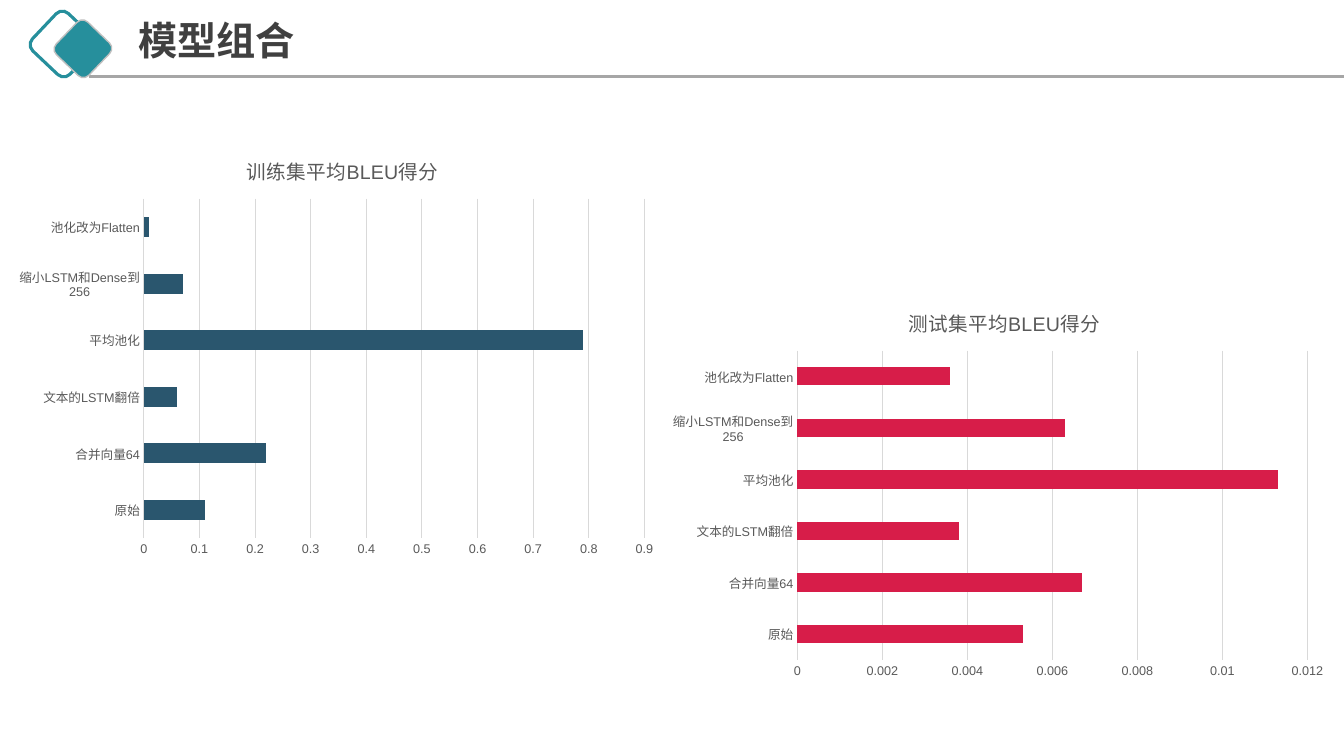
from lxml.etree import SubElement
from pptx import Presentation
from pptx.chart.data import CategoryChartData
from pptx.dml.color import RGBColor
from pptx.enum.chart import XL_CHART_TYPE, XL_TICK_MARK
from pptx.enum.shapes import MSO_CONNECTOR, MSO_SHAPE
from pptx.enum.text import MSO_ANCHOR, MSO_AUTO_SIZE, PP_ALIGN
from pptx.oxml.ns import qn
from pptx.util import Cm, Pt

TEAL, NAVY, RED = "268F9C", "2A566E", "D71D49"
DARK, GREY, LIGHT, RULE, SILVER = "404040", "595959", "D9D9D9", "A6A6A6", "BFBFBF"
HEADING_FONT, CHART_FONT = "Noto Sans CJK SC", "Arial"
WIDTH, HEIGHT = 33.87, 19.05

MODELS = ["原始", "合并向量64", "文本的LSTM翻倍", "平均池化",
          "缩小LSTM和Dense到256", "池化改为Flatten"]
TRAIN_SCORES = [0.11, 0.22, 0.06, 0.79, 0.07, 0.01]
TEST_SCORES = [0.0053, 0.0067, 0.0038, 0.0113, 0.0063, 0.0036]


def rgb(color):
    return RGBColor.from_string(color)


def set_font(font, size, color, name, bold=False):
    font.size, font.bold, font.name = Pt(size), bold, name
    font.color.rgb = rgb(color)


def set_line(line, color, width):
    line.color.rgb = rgb(color)
    line.width = Pt(width)


def add_diamond(s, x, y, size, angle, line, width, fill=None):
    sp = s.shapes.add_shape(MSO_SHAPE.ROUNDED_RECTANGLE,
                            Cm(x), Cm(y), Cm(size), Cm(size))
    sp.rotation = angle
    sp.shadow.inherit = False
    set_line(sp.line, line, width)
    if fill:
        sp.fill.solid()
        sp.fill.fore_color.rgb = rgb(fill)
    else:
        sp.fill.background()


def add_header(s, text, x, y, w, h):
    # Emblem and rule
    add_diamond(s, x, y, 1.3, 43.4, TEAL, 2.25)
    rule = s.shapes.add_connector(MSO_CONNECTOR.STRAIGHT, Cm(x + 1.3), Cm(y + h),
                                  Cm(x + w), Cm(y + h))
    set_line(rule.line, RULE, 2.25)
    SubElement(rule._element.spPr, qn("a:effectLst"))
    add_diamond(s, x + 0.58, y + 0.2, 1.14, 43.9, SILVER, 1, TEAL)

    # Title
    title = s.shapes.title
    title.left, title.top = Cm(x + 2.29), Cm(y - 0.03)
    title.width, title.height = Cm(14.5), Cm(1.5)
    tf = title.text_frame
    tf.text = text
    tf.word_wrap = True
    tf.auto_size = MSO_AUTO_SIZE.NONE
    tf.vertical_anchor = MSO_ANCHOR.TOP
    p = tf.paragraphs[0]
    p.alignment = PP_ALIGN.LEFT
    p.line_spacing = 0.9
    set_font(p.font, 28, DARK, HEADING_FONT, bold=True)
    defaults = p._p.pPr.find(qn("a:defRPr"))
    SubElement(defaults, qn("a:ea"), typeface=HEADING_FONT)


def add_score_chart(s, name, scores, color, x, y, w, h):
    data = CategoryChartData()
    data.categories = MODELS
    data.add_series(name, scores)
    chart = s.shapes.add_chart(XL_CHART_TYPE.BAR_CLUSTERED,
                               Cm(x), Cm(y), Cm(w), Cm(h), data).chart
    set_font(chart.font, 10, "000000", CHART_FONT)
    chart.has_legend = False

    # Chart title
    chart.has_title = True
    tf = chart.chart_title.text_frame
    tf.text = name
    set_font(tf.paragraphs[0].font, 14, GREY, CHART_FONT)
    chart.chart_title.include_in_layout = False

    # Bars
    plot = chart.plots[0]
    plot.gap_width = 182
    plot.vary_by_categories = False
    fill = plot.series[0].format.fill
    fill.solid()
    fill.fore_color.rgb = rgb(color)

    # Axes
    for axis in (chart.category_axis, chart.value_axis):
        axis.major_tick_mark = axis.minor_tick_mark = XL_TICK_MARK.NONE
        set_font(axis.tick_labels.font, 9, GREY, CHART_FONT)
    set_line(chart.category_axis.format.line, LIGHT, 0.75)
    chart.value_axis.format.line.fill.background()
    set_line(chart.value_axis.major_gridlines.format.line, LIGHT, 0.75)


def main():
    prs = Presentation()
    prs.slide_width, prs.slide_height = Cm(WIDTH), Cm(HEIGHT)
    s = prs.slides.add_slide(prs.slide_layouts[5])
    add_header(s, "模型组合", 0.94, 0.46, WIDTH - 0.94, 1.47)
    add_score_chart(s, "训练集平均BLEU得分", TRAIN_SCORES, NAVY, 0.48, 3.43, 16.31, 10.82)
    add_score_chart(s, "测试集平均BLEU得分", TEST_SCORES, RED, 16.94, 7.29, 16.74, 10.01)
    prs.save("out.pptx")


if __name__ == "__main__":
    main()
